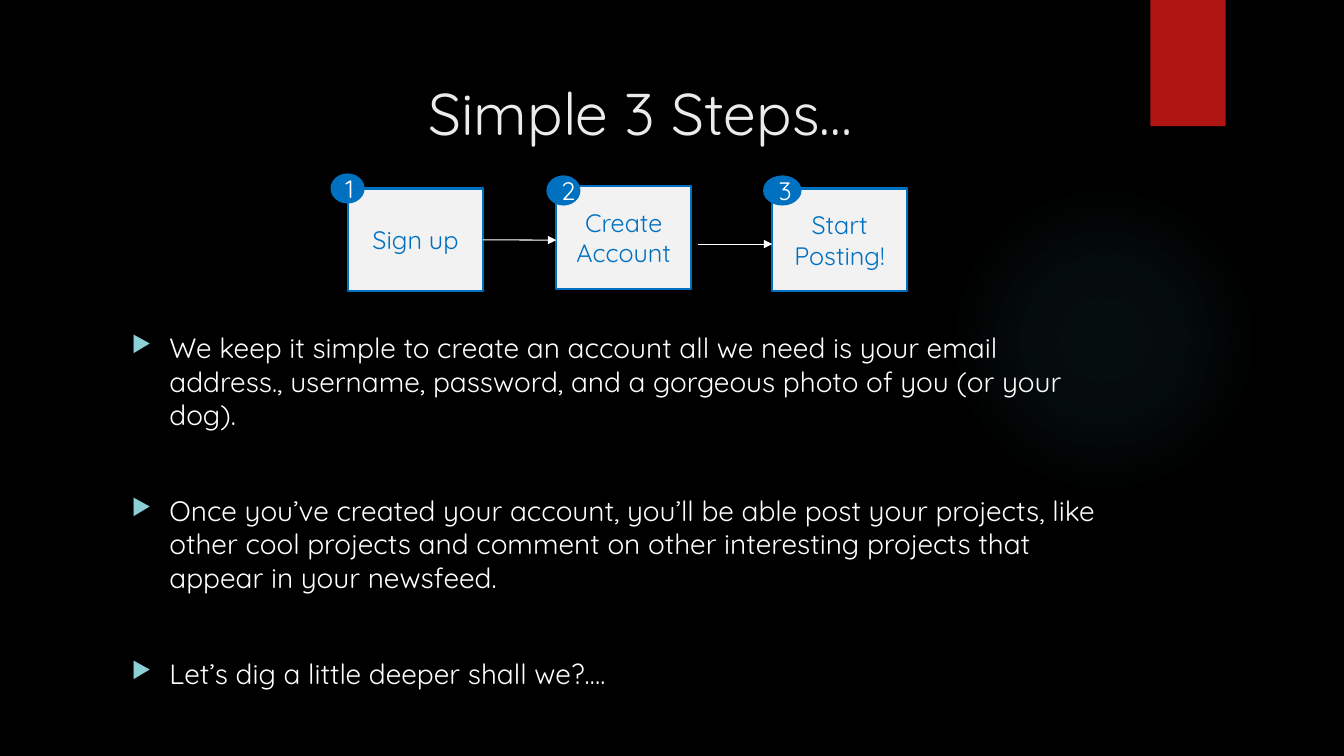
"""Build the "Simple 3 Steps" slide."""
from lxml import etree
from pptx import Presentation
from pptx.dml.color import RGBColor
from pptx.enum.shapes import MSO_CONNECTOR, MSO_SHAPE
from pptx.enum.text import MSO_ANCHOR, PP_ALIGN
from pptx.oxml import parse_xml
from pptx.oxml.ns import nsdecls, qn
from pptx.util import Cm, Pt

RECTANGLE, OVAL = MSO_SHAPE.RECTANGLE, MSO_SHAPE.OVAL
STRAIGHT = MSO_CONNECTOR.STRAIGHT
CENTER, LEFT = PP_ALIGN.CENTER, PP_ALIGN.LEFT
TOP, MIDDLE = MSO_ANCHOR.TOP, MSO_ANCHOR.MIDDLE

FONT = "Quicksand"
BLACK, WHITE, BLUE, PALE, RED = "000000", "FFFFFF", "0070C0", "F2F2F2", "B01513"
TITLE_COLOR, GLOW_COLOR, BULLET_COLOR = "EBEBEB", "50B9C1", "8AD0D6"

TITLE = "Simple 3 Steps…"
BOX_SIZE = (3.4, 2.59)
STEPS = [
    {"label": "Sign up", "box": (8.77, 4.75), "badge": (8.33, 4.37, 0.86, 0.76)},
    {"label": "Create Account", "box": (14.02, 4.69), "badge": (13.77, 4.42, 0.86, 0.76)},
    {"label": "Start Posting!", "box": (19.46, 4.75), "badge": (19.23, 4.42, 0.97, 0.76)},
]
ARROWS = [(12.17, 14.02, 6.05), (17.6, 19.46, 6.15)]
BULLETS = [
    "We keep it simple to create an account all we need is your email address., "
    "username, password, and a gorgeous photo of you (or your dog).",
    "Once you’ve created your account, you’ll be able post your projects, like other "
    "cool projects and comment on other interesting projects that appear in your newsfeed.",
    "Let’s dig a little deeper shall we?….",
]
GLOW_STOPS = [(0, 7), (36, 6), (69, 0)]


def color(value):
    return RGBColor.from_string(value)


def add_text(paragraph, text, size, text_color, alignment=CENTER):
    paragraph.alignment = alignment
    run = paragraph.add_run()
    run.text = text
    run.font.name = FONT
    run.font.size = Pt(size)
    run.font.color.rgb = color(text_color)


def add_block(slide, kind, place, fill, line=None):
    shape = slide.shapes.add_shape(kind, *map(Cm, place))
    shape.shadow.inherit = False
    shape.fill.solid()
    shape.fill.fore_color.rgb = color(fill)
    if line:
        shape.line.color.rgb = color(line)
        shape.line.width = Pt(1.5)
    else:
        shape.line.fill.background()
    return shape


def add_label(shape, text, text_color):
    frame = shape.text_frame
    frame.word_wrap = True
    frame.vertical_anchor = MIDDLE
    add_text(frame.paragraphs[0], text, 18, text_color)


def add_glow(slide):
    glow = add_block(slide, OVAL, (23.9, 4.65, 7.82, 7.82), GLOW_COLOR)
    stops = "".join(
        f'<a:gs pos="{position * 1000}"><a:srgbClr val="{GLOW_COLOR}">'
        f'<a:alpha val="{opacity * 1000}"/></a:srgbClr></a:gs>'
        for position, opacity in GLOW_STOPS)
    gradient = parse_xml(
        f'<a:gradFill {nsdecls("a")}><a:gsLst>{stops}</a:gsLst><a:path path="circle">'
        '<a:fillToRect l="50000" t="50000" r="50000" b="50000"/></a:path></a:gradFill>')
    properties = glow.element.spPr
    properties.replace(properties.find(qn("a:solidFill")), gradient)


def add_title(slide):
    title = slide.shapes.title
    title.left, title.top, title.width, title.height = map(Cm, (3.07, 1.8, 26.14, 3.89))
    title.text_frame.vertical_anchor = TOP
    add_text(title.text_frame.paragraphs[0], TITLE, 42, TITLE_COLOR)


def add_bullets(slide):
    frame = slide.shapes.add_textbox(*map(Cm, (3.07, 8.2, 24.84, 11.66))).text_frame
    frame.word_wrap = True
    for index, text in enumerate(BULLETS):
        paragraph = frame.add_paragraph() if index else frame.paragraphs[0]
        add_text(paragraph, text, 20, WHITE, LEFT)
        paragraph.line_spacing = Pt(24.1)
        paragraph.space_before = Pt(44 if index else 0)
        properties = paragraph._p.get_or_add_pPr()
        properties.set("marL", str(Cm(0.95)))
        properties.set("indent", str(Cm(-0.95)))
        bullet_color = etree.SubElement(properties, qn("a:buClr"))
        etree.SubElement(bullet_color, qn("a:srgbClr"), val=BULLET_COLOR)
        etree.SubElement(properties, qn("a:buSzPct"), val="80000")
        etree.SubElement(properties, qn("a:buChar"), char="▶")


def add_arrow(slide, start, end, height):
    arrow = slide.shapes.add_connector(STRAIGHT, *map(Cm, (start, height, end, height)))
    arrow.line.color.rgb = color(WHITE)
    arrow.line.width = Pt(0.75)
    etree.SubElement(arrow.line._get_or_add_ln(), qn("a:tailEnd"), type="triangle")
    etree.SubElement(arrow.element.spPr, qn("a:effectLst"))
    return arrow


def main():
    presentation = Presentation()
    presentation.slide_width, presentation.slide_height = Cm(33.87), Cm(19.05)
    slide = presentation.slides.add_slide(presentation.slide_layouts[5])
    slide.background.fill.solid()
    slide.background.fill.fore_color.rgb = color(BLACK)
    add_glow(slide)
    add_block(slide, RECTANGLE, (28.99, 0, 1.9, 3.18), RED)
    add_title(slide)
    add_bullets(slide)
    boxes = []
    for step in STEPS:
        box = add_block(slide, RECTANGLE, step["box"] + BOX_SIZE, PALE, BLUE)
        add_label(box, step["label"], BLUE)
        boxes.append(box)
    arrows = [add_arrow(slide, *arrow) for arrow in ARROWS]
    arrows[0].begin_connect(boxes[0], 3)
    for number, step in enumerate(STEPS, 1):
        add_label(add_block(slide, OVAL, step["badge"], BLUE), str(number), WHITE)
    presentation.save("out.pptx")


if __name__ == "__main__":
    main()
